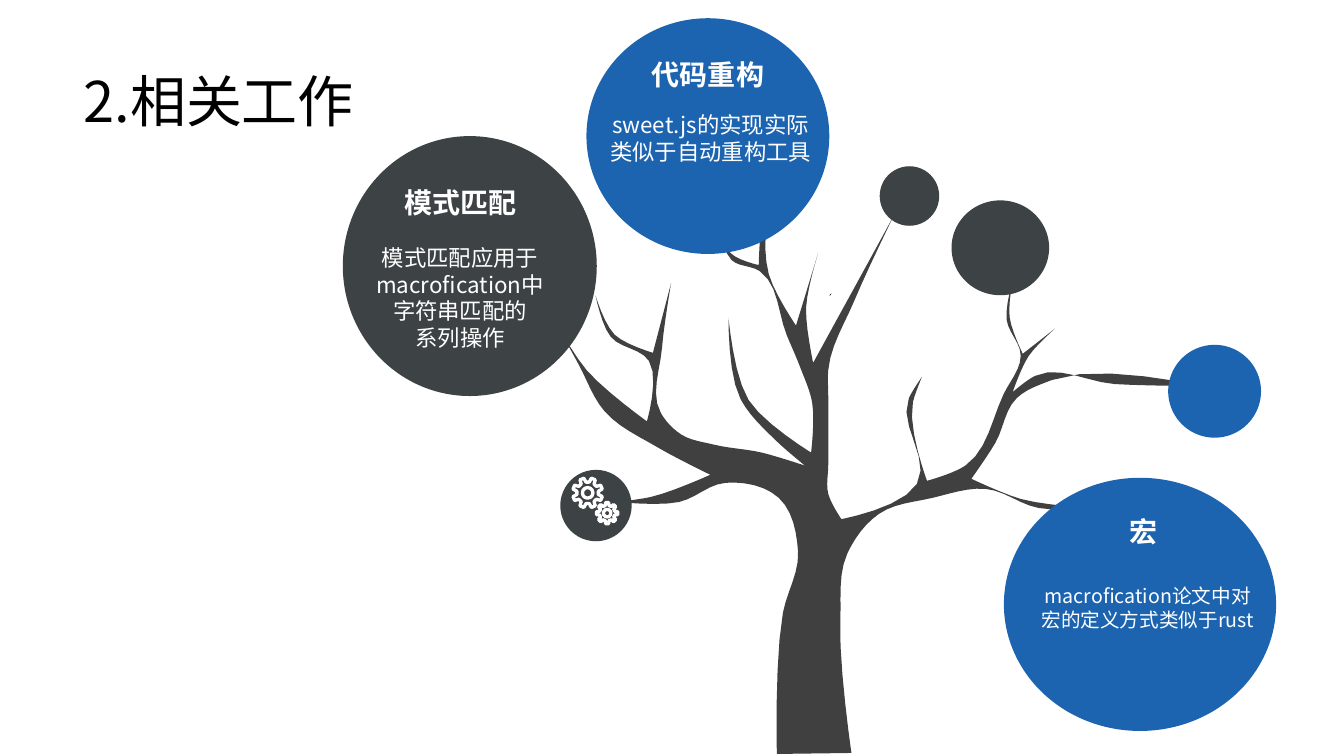
from math import cos, dist, radians, sin

from lxml.etree import SubElement
from pptx import Presentation
from pptx.dml.color import RGBColor
from pptx.enum.shapes import MSO_SHAPE as SHAPE
from pptx.enum.text import MSO_ANCHOR as ANCHOR, PP_ALIGN as ALIGN
from pptx.oxml.ns import qn
from pptx.util import Cm, Pt

FONT = "Noto Sans CJK SC"
BLACK = RGBColor(0x00, 0x00, 0x00)
WHITE = RGBColor(0xFF, 0xFF, 0xFF)
BARK = RGBColor(0x40, 0x40, 0x40)
SPECK = RGBColor(0x04, 0x04, 0x04)
SLATE = RGBColor(0x3D, 0x43, 0x45)
BLUE = RGBColor(0x1D, 0x64, 0xB0)

TREE_ORIGIN = (545, 135)
TREE_SIZE = (647, 613)
TREE_KNOTS = [
    (726, 258), (754, 269), (781, 333), (794, 364), (806, 399), (805, 449), (743, 397), (723, 315),
    (735, 396), (770, 437), (799, 462), (756, 449), (708, 441), (676, 431), (656, 410), (657, 345),
    (666, 281), (648, 350), (610, 332), (591, 293), (606, 334), (644, 358), (642, 418), (582, 367),
    (545, 308), (574, 361), (600, 408), (653, 444), (705, 471), (646, 493), (613, 498), (674, 498),
    (720, 479), (773, 494), (792, 547), (777, 608), (771, 748), (845, 747), (834, 616), (841, 549),
    (872, 510), (925, 494), (978, 485), (1031, 504), (1087, 504), (1013, 495), (964, 475), (988, 439),
    (1009, 395), (1044, 377), (1192, 383), (1106, 381), (1027, 373), (1005, 389), (1021, 353),
    (1047, 326), (1015, 351), (1002, 315), (1005, 278), (999, 317), (1013, 353), (996, 391),
    (958, 462), (920, 477), (906, 399), (915, 374), (902, 395), (910, 480), (835, 515), (822, 490),
    (822, 461), (822, 393), (822, 367), (848, 298), (887, 214), (807, 360), (800, 305), (812, 251),
    (790, 323), (763, 272), (764, 199), (773, 159), (758, 205), (753, 263), (725, 251), (715, 216),
]
SPECK_KNOTS = [(824, 293), (825, 291), (823, 293)]

PLAIN_BUBBLES = [
    ((22.17, 4.19, 1.5, 1.5), SLATE),
    ((29.44, 8.69, 2.34, 2.34), BLUE),
    ((23.98, 5.05, 2.46, 2.39), SLATE),
]
TOPIC_BUBBLES = [
    ((8.64, 3.43, 6.4, 6.55), SLATE, "模式匹配", (1.3, 1.12, 3.33, 1.12),
     ["模式匹配应用于", "macrofication中", "字符串匹配的", "系列操作"], (0.58, 2.59, 4.75, 3), 16),
    ((14.78, 0.46, 6.12, 5.94), BLUE, "代码重构", (1.4, 0.86, 3.33, 1.12),
     ["sweet.js的实现实际", "类似于自动重构工具"], (0.33, 2.21, 5.6, 1.63), 16),
    ((25.3, 12.04, 6.86, 6.38), BLUE, "宏", (2.92, 0.81, 1.22, 1.12),
     ["macrofication论文中对", "宏的定义方式类似于rust"], (0.69, 2.56, 5.87, 1.45), 14),
]
GEARS = [(0.69, 0.58, 0.38, 22.5), (1.18, 1.09, 0.27, 0)]


def paint(sp, fill=None, line=None):
    """Give a shape a flat fill or a white outline, without shadow."""
    sp.shadow.inherit = False
    if fill is None:
        sp.fill.background()
    else:
        sp.fill.solid()
        sp.fill.fore_color.rgb = fill
    if line is None:
        sp.line.fill.background()
    else:
        sp.line.color.rgb = line
        sp.line.width = Pt(2.38)


def outline(shapes, points, **look):
    """Draw a closed outline through points given in centimetres."""
    emu = [(Cm(x), Cm(y)) for x, y in points]
    builder = shapes.build_freeform(*emu[0], scale=1.0)
    builder.add_line_segments(emu[1:], close=True)
    paint(builder.convert_to_shape(), **look)


def ellipse(shapes, box, **look):
    """Draw an ellipse that fills the box."""
    paint(shapes.add_shape(SHAPE.OVAL, *map(Cm, box)), **look)


def direction(before, knot, after):
    """Return the unit heading at a knot, or zero at a sharp tip."""
    a, b = dist(before, knot), dist(knot, after)
    u = [(k - p) / a for p, k in zip(before, knot)]
    v = [(n - k) / b for k, n in zip(knot, after)]
    if u[0] * v[0] + u[1] * v[1] < 0.3:
        return 0, 0
    mean = [(b * i + a * j) / (a + b) for i, j in zip(u, v)]
    length = dist((0, 0), mean)
    return mean[0] / length, mean[1] / length


def smooth_outline(knots, steps=6):
    """Join knots by Hermite curves that keep the tips sharp."""
    n = len(knots)
    headings = [direction(knots[i - 1], knots[i], knots[(i + 1) % n]) for i in range(n)]
    points = []
    for i, start in enumerate(knots):
        j = (i + 1) % n
        reach = dist(start, knots[j])
        for t in (k / steps for k in range(steps)):
            weights = (1 - 3 * t ** 2 + 2 * t ** 3, 3 * t ** 2 - 2 * t ** 3,
                       reach * t * (1 - t) ** 2, reach * t ** 2 * (t - 1))
            parts = (start, knots[j], headings[i], headings[j])
            points.append(tuple(sum(w * q[axis] for w, q in zip(weights, parts)) for axis in (0, 1)))
    return points


def write(tf, lines, size, color, align=ALIGN.LEFT, bold=False, wrap=True, anchor=ANCHOR.TOP):
    """Write one paragraph per line with a shared format."""
    tf.word_wrap = wrap
    tf.vertical_anchor = anchor
    for i, line in enumerate(lines):
        p = tf.add_paragraph() if i else tf.paragraphs[0]
        p.alignment = align
        p.line_spacing = Pt(size * 1.2)
        r = p.add_run()
        r.text = line
        r.font.color.rgb = color
        for name, value in {"name": FONT, "size": Pt(size), "bold": bold}.items():
            setattr(r.font, name, value)
        SubElement(r.font._element, qn("a:ea"), typeface=FONT)


def add_title(s, box):
    """Place the title placeholder in the box."""
    title = s.shapes.title
    for name, value in zip(("left", "top", "width", "height"), box):
        setattr(title, name, Cm(value))
    write(title.text_frame, ["2.相关工作"], 40, BLACK, anchor=ANCHOR.MIDDLE)


def add_tree(s, box):
    """Draw the tree and its speck, scaled to the box."""
    left, top, width, height = box
    for points, fill in ((SPECK_KNOTS, SPECK), (smooth_outline(TREE_KNOTS), BARK)):
        placed = [(left + (x - TREE_ORIGIN[0]) * width / TREE_SIZE[0],
                   top + (y - TREE_ORIGIN[1]) * height / TREE_SIZE[1]) for x, y in points]
        outline(s.shapes, placed, fill=fill)


def add_gear_bubble(s, box):
    """Draw a bubble holding two eight-toothed gears."""
    ellipse(s.shapes, box, fill=SLATE)
    shapes = s.shapes.add_group_shape().shapes
    for dx, dy, tip, turn in GEARS:
        x, y = box[0] + dx, box[1] + dy
        root, hub = tip * 0.72, tip * 0.35
        tooth = [(root, -14), (tip, -8), (tip, 8), (root, 14)]
        points = [(x + radius * cos(radians(turn + 45 * k + angle)),
                   y + radius * sin(radians(turn + 45 * k + angle)))
                  for k in range(8) for radius, angle in tooth]
        outline(shapes, points, line=WHITE)
        ellipse(shapes, (x - hub, y - hub, 2 * hub, 2 * hub), line=WHITE)


def add_topic(s, box, fill, heading, heading_box, body, body_box, size):
    """Draw a bubble with a bold heading and centred body text."""
    ellipse(s.shapes, box, fill=fill)
    texts = [([heading], heading_box, {"size": 20, "bold": True, "wrap": False}),
             (body, body_box, {"size": size, "align": ALIGN.CENTER})]
    for lines, (dx, dy, width, height), style in texts:
        place = (box[0] + dx, box[1] + dy, width, height)
        write(s.shapes.add_textbox(*map(Cm, place)).text_frame, lines, color=WHITE, **style)


prs = Presentation()
prs.slide_width, prs.slide_height = Cm(33.87), Cm(19.05)
s = prs.slides.add_slide(prs.slide_layouts[5])
add_title(s, (1.85, 1.55, 8.74, 1.96))
add_tree(s, (13.84, 3.43, 16.43, 15.57))
for box, fill in PLAIN_BUBBLES:
    ellipse(s.shapes, box, fill=fill)
add_gear_bubble(s, (14.12, 11.84, 1.8, 1.8))
for topic in TOPIC_BUBBLES:
    add_topic(s, *topic)
prs.save("out.pptx")
